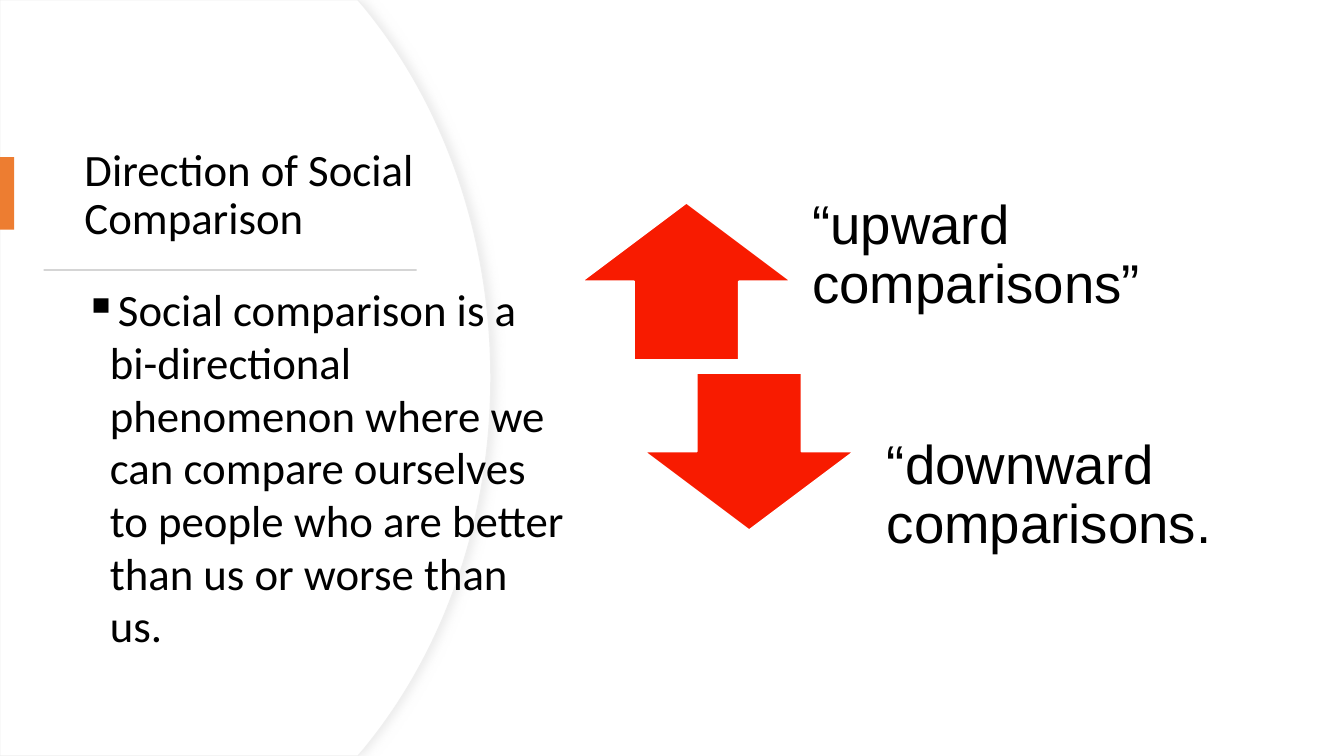
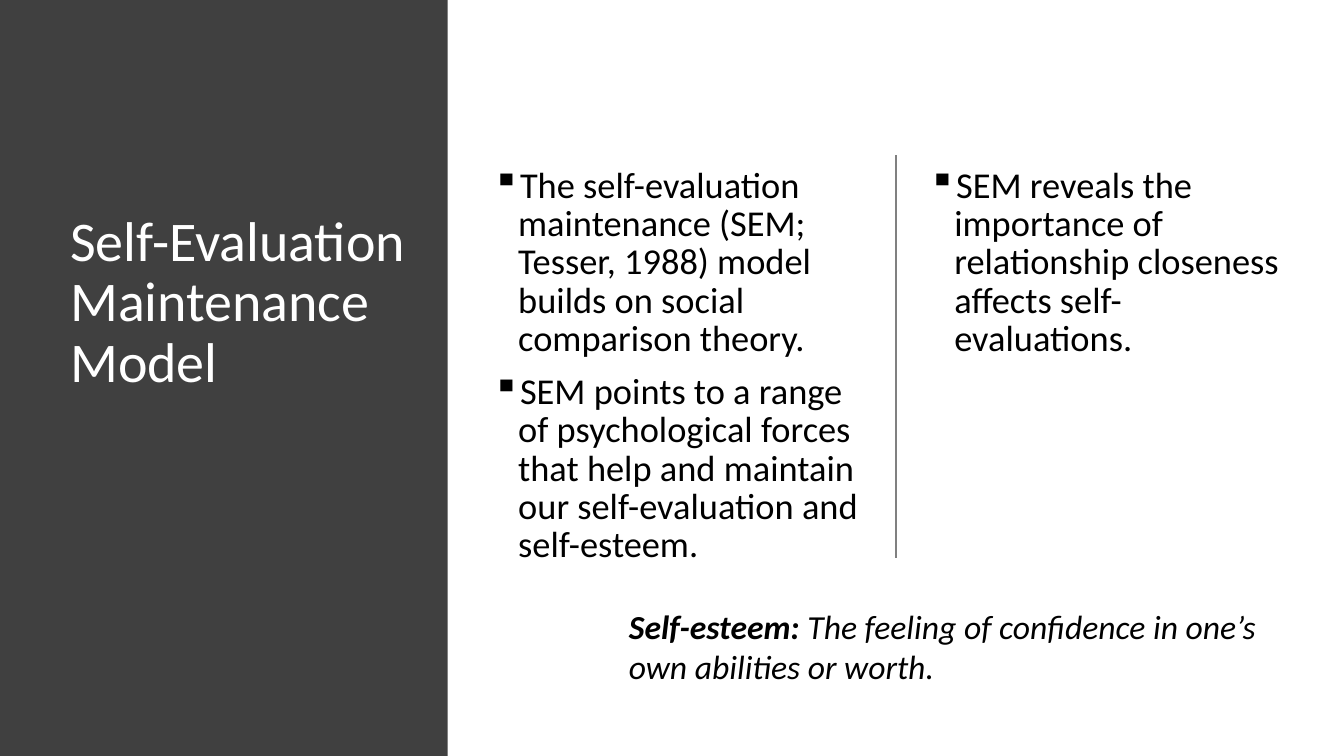
from lxml import etree
from pptx import Presentation
from pptx.dml.color import RGBColor
from pptx.enum.shapes import MSO_CONNECTOR as CONNECTOR, MSO_SHAPE as SHAPE
from pptx.enum.text import MSO_ANCHOR as ANCHOR
from pptx.oxml.ns import qn
from pptx.util import Cm, Pt

# Shared look
BLACK = RGBColor(0x00, 0x00, 0x00)
WHITE = RGBColor(0xFF, 0xFF, 0xFF)
DARK_GREY = RGBColor(0x40, 0x40, 0x40)
MID_GREY = RGBColor(0x80, 0x80, 0x80)
RULE_GREY = RGBColor(0xD5, 0xD5, 0xD5)
SHADOW_GREY = RGBColor(0xD9, 0xD9, 0xD9)
EDGE_GREY = RGBColor(0xEF, 0xEF, 0xEF)
ORANGE = RGBColor(0xED, 0x7D, 0x31)
RED = RGBColor(0xF8, 0x1B, 0x00)

BODY_FONT, LABEL_FONT = "Calibri", "Arial"
WIDTH, HEIGHT = 33.87, 19.05
TITLE_SPACING = 0.9
INSETS = (0.25, 0.13, 0.25, 0.13)
BULLET_INDENT = 0.64


def lengths(*values):
    return [Cm(value) for value in values]


def add_bullet(paragraph):
    """Give a paragraph a square bullet with a hanging indent."""
    properties = paragraph._p.get_or_add_pPr()
    indent = Cm(BULLET_INDENT)
    properties.set("marL", str(indent))
    properties.set("indent", str(-indent))
    etree.SubElement(properties, qn("a:buChar"), char="▪")


def add_text(slide, box, paragraphs, *, size, font=BODY_FONT, color=BLACK,
             italic=None, bullets=False, line_spacing=None, gap=0, after=0,
             anchor=ANCHOR.TOP, insets=INSETS):
    """Add a text box; each paragraph is a string or a list of (text, bold)."""
    frame = slide.shapes.add_textbox(*lengths(*box)).text_frame
    frame.word_wrap = True
    frame.vertical_anchor = anchor
    (frame.margin_left, frame.margin_top,
     frame.margin_right, frame.margin_bottom) = lengths(*insets)
    for index, content in enumerate(paragraphs):
        paragraph = frame.add_paragraph() if index else frame.paragraphs[0]
        if line_spacing:
            paragraph.line_spacing = line_spacing
        if index and gap:
            paragraph.space_before = Pt(gap)
        if after:
            paragraph.space_after = Pt(after)
        if bullets:
            add_bullet(paragraph)
        runs = [(content, None)] if isinstance(content, str) else content
        for text, bold in runs:
            run = paragraph.add_run()
            run.text = text
            run.font.name, run.font.size = font, Pt(size)
            run.font.bold, run.font.italic = bold, italic
            run.font.color.rgb = color


def style_shape(shape, fill, line=None, line_width=1):
    shape.shadow.inherit = False
    shape.fill.solid()
    shape.fill.fore_color.rgb = fill
    if line is None:
        shape.line.fill.background()
    else:
        shape.line.color.rgb = line
        shape.line.width = Pt(line_width)


def add_shape(slide, kind, box, fill, **line):
    style_shape(slide.shapes.add_shape(kind, *lengths(*box)), fill, **line)


def add_divider(slide, x, top, bottom):
    connector = slide.shapes.add_connector(
        CONNECTOR.STRAIGHT, *lengths(x, top, x, bottom))
    connector.line.color.rgb = MID_GREY
    connector.line.width = Pt(1)
    etree.SubElement(connector._element.spPr, qn("a:effectLst"))


def curve(start, control_1, control_2, end, steps=40):
    """Return points along a cubic curve, without its start."""
    points = []
    for step in range(1, steps + 1):
        t = step / steps
        weights = ((1 - t) ** 3, 3 * t * (1 - t) ** 2,
                   3 * t ** 2 * (1 - t), t ** 3)
        points.append(tuple(
            Cm(sum(weight * value for weight, value in zip(weights, axis)))
            for axis in zip(start, control_1, control_2, end)))
    return points


def add_curved_panel(slide):
    """Add the white panel whose right side bulges, with a faint shadow."""
    middle = HEIGHT / 2
    upper = curve((9.19, 0.2), (11.15, 2.59), (12.37, 5.89), (12.37, middle))
    lower = [(x, Cm(HEIGHT) - y) for x, y in reversed(upper[:-1])]
    points = [(Cm(9.02), 0), (Cm(9.19), Cm(0.2)), *upper, *lower,
              (Cm(9.19), Cm(HEIGHT - 0.2)), (Cm(9.02), Cm(HEIGHT)),
              (0, Cm(HEIGHT))]
    builder = slide.shapes.build_freeform(0, 0)
    builder.add_line_segments(points, close=True)
    panel = builder.convert_to_shape()
    style_shape(panel, WHITE, line=EDGE_GREY, line_width=0.75)
    effects = panel._element.spPr.find(qn("a:effectLst"))
    shadow = etree.SubElement(effects, qn("a:outerShdw"), blurRad=str(Pt(7)),
                              dist=str(Pt(3)), dir="0", rotWithShape="0")
    tint = etree.SubElement(shadow, qn("a:srgbClr"), val=str(SHADOW_GREY))
    etree.SubElement(tint, qn("a:alpha"), val="50000")


def build_direction_slide(slide):
    add_curved_panel(slide)

    # Title with its accent and rule
    add_text(slide, (1.88, 3.23, 9.55, 3.43),
             ["Direction of Social Comparison"], size=32,
             line_spacing=TITLE_SPACING, anchor=ANCHOR.MIDDLE)
    add_shape(slide, SHAPE.RECTANGLE, (0, 3.96, 0.36, 1.83), ORANGE)
    add_shape(slide, SHAPE.RECTANGLE, (1.1, 6.78, 9.4, 0.05), RULE_GREY)

    # Arrows and their labels
    arrows = (
        (SHAPE.UP_ARROW, 14.66, 5.11, "“upward comparisons”", 19.81, 4.8),
        (SHAPE.DOWN_ARROW, 16.24, 9.4, "“downward comparisons.", 21.69, 10.85),
    )
    for kind, left, top, label, label_left, label_top in arrows:
        add_shape(slide, kind, (left, top, 5.28, 3.96), RED,
                  line=WHITE, line_width=1.25)
        add_text(slide, (label_left, label_top, 12.15, 3.96), [label],
                 size=39, font=LABEL_FONT, line_spacing=TITLE_SPACING,
                 after=6, anchor=ANCHOR.MIDDLE,
                 insets=(0.66, 0, 0.66, 0.66))

    # Body
    add_text(slide, (1.88, 7.04, 12.62, 9.73), [
        "Social comparison is a bi-directional phenomenon where we can "
        "compare ourselves to people who are better than us or worse than us.",
    ], size=32, bullets=True, line_spacing=0.98)


def build_model_slide(slide):
    # Title band
    add_shape(slide, SHAPE.RECTANGLE, (0, 0, 11.28, HEIGHT), DARK_GREY)
    add_text(slide, (1.52, 5.11, 9.25, 12.12),
             ["Self-Evaluation Maintenance Model"], size=40, color=WHITE,
             line_spacing=TITLE_SPACING, insets=(0.25,) * 4)

    # Two columns with a divider
    columns = (
        (12.17, 9.91, [
            "The self-evaluation maintenance (SEM; Tesser, 1988) model "
            "builds on social comparison theory.",
            "SEM points to a range of psychological forces that help and "
            "maintain our self-evaluation and self-esteem.",
        ]),
        (23.16, 9.78, [
            "SEM reveals the importance of relationship closeness affects "
            "self-evaluations.",
        ]),
    )
    for left, width, paragraphs in columns:
        add_text(slide, (left, 4.09, width, 10.67), paragraphs, size=26,
                 bullets=True, line_spacing=0.88, gap=10)
    add_divider(slide, 22.58, 3.91, 14.07)

    # Definition
    add_text(slide, (15.6, 15.14, 16.31, 2.31), [[
        ("Self-esteem: ", True),
        ("The feeling of confidence in one’s own abilities or worth.", False),
    ]], size=24, italic=True)


def main():
    presentation = Presentation()
    presentation.slide_width, presentation.slide_height = lengths(WIDTH, HEIGHT)
    blank = presentation.slide_layouts[6]
    for build in (build_direction_slide, build_model_slide):
        build(presentation.slides.add_slide(blank))
    presentation.save("out.pptx")


if __name__ == "__main__":
    main()
